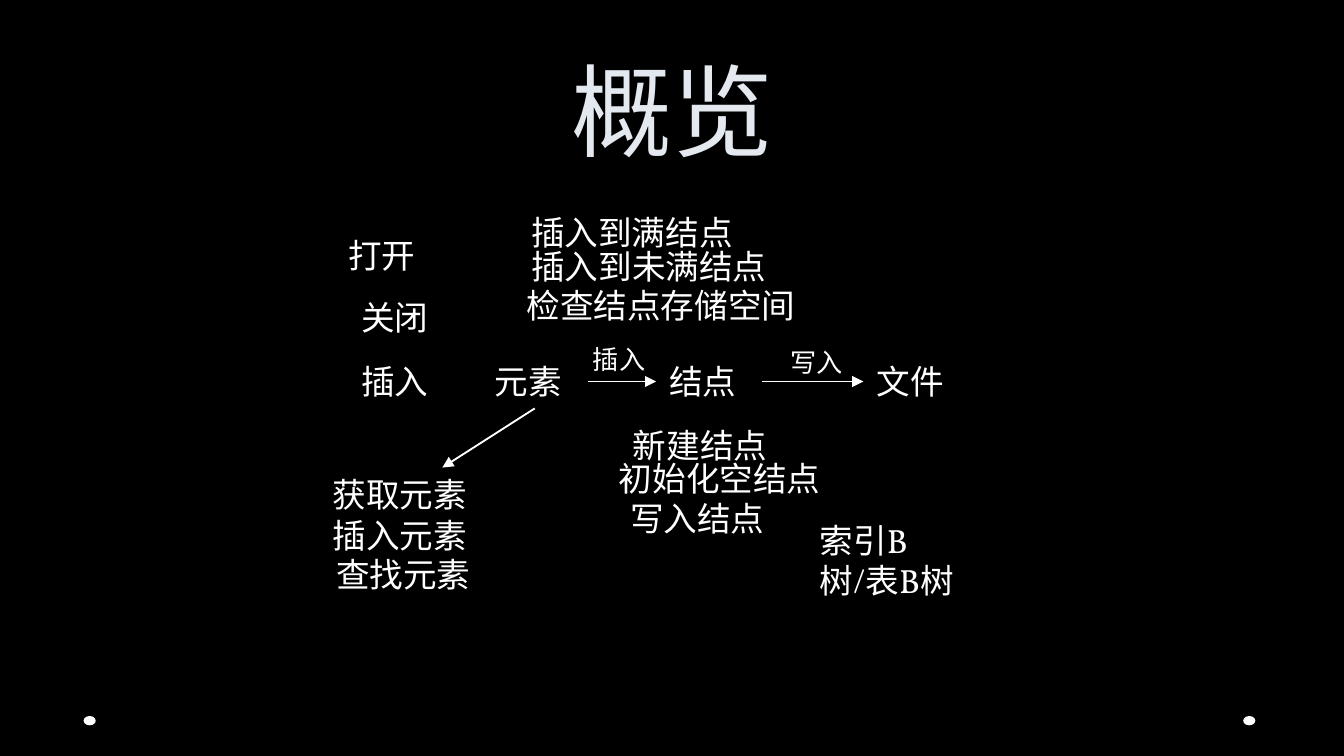
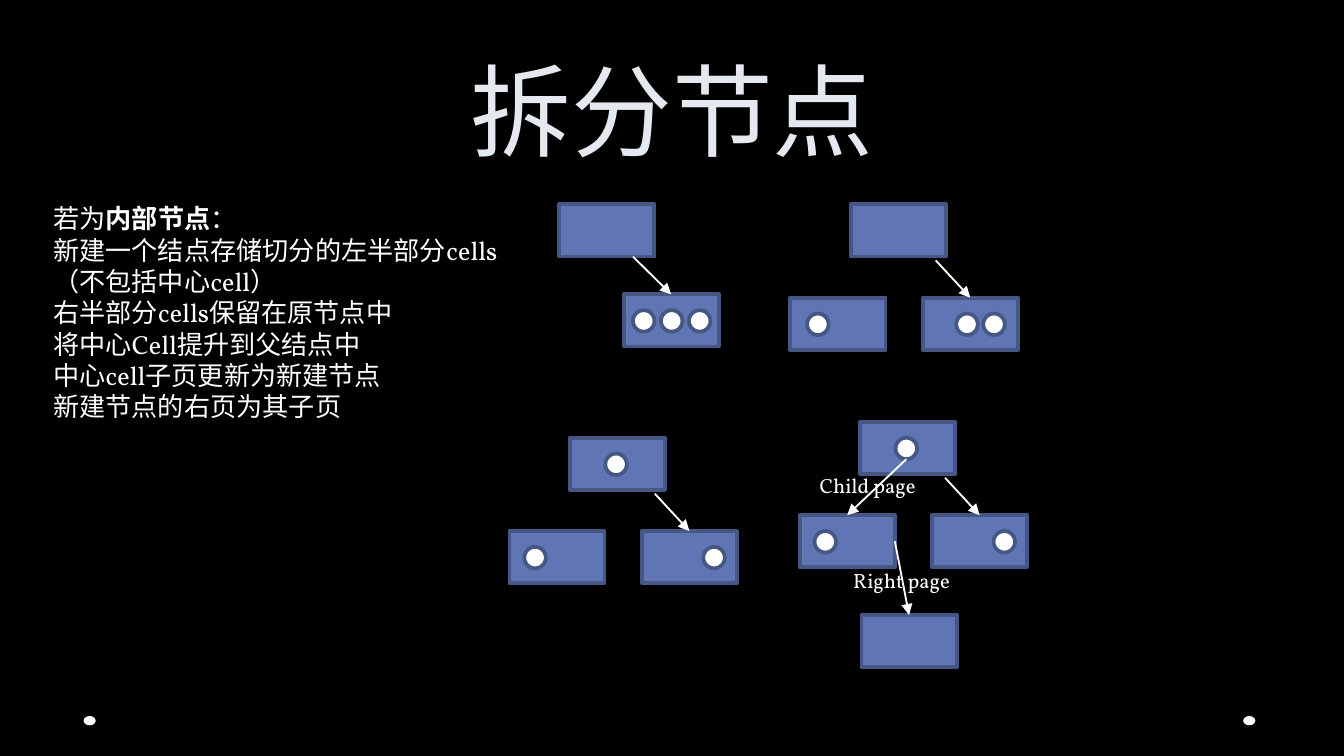
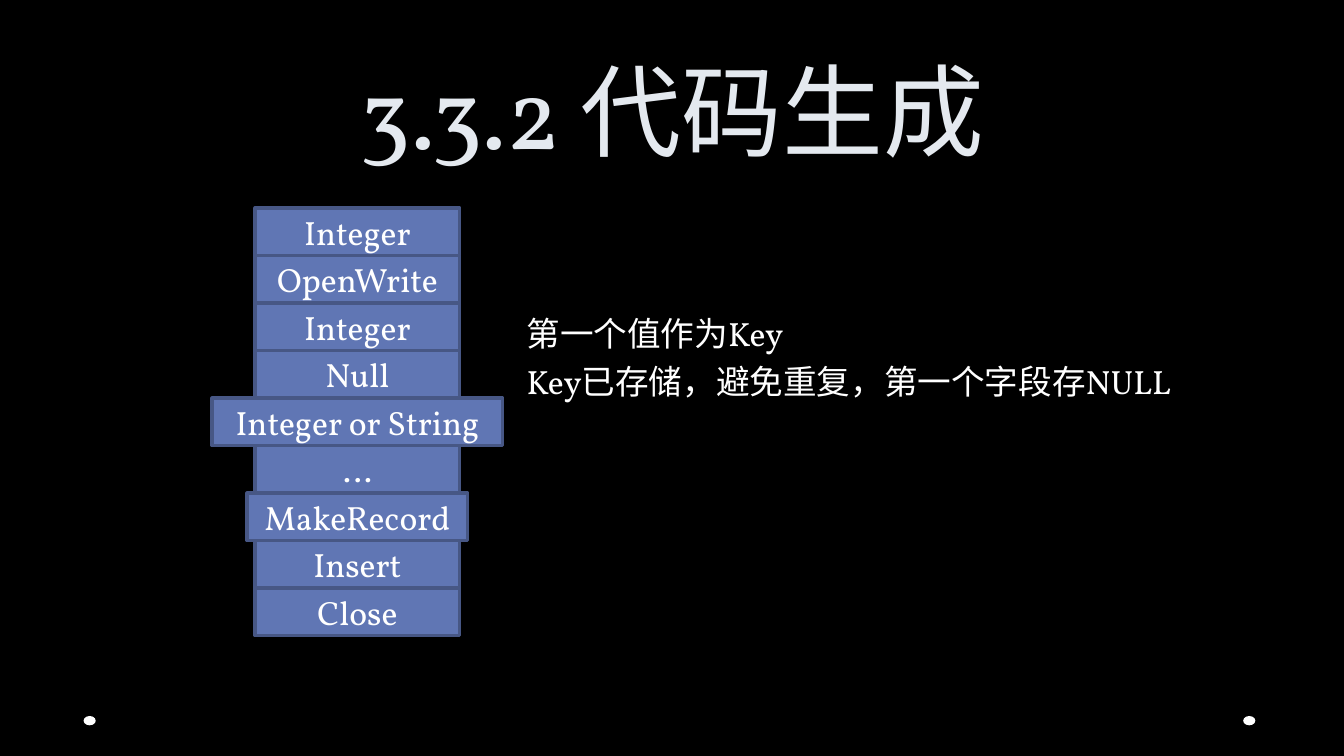
import pptx
import pptx.util
import pptx.dml.color
import pptx.enum.shapes
import pptx.enum.text
import pptx.oxml

Pt = pptx.util.Pt
Color = pptx.dml.color.RGBColor
Shape = pptx.enum.shapes.MSO_SHAPE
Align = pptx.enum.text.PP_ALIGN
Anchor = pptx.enum.text.MSO_ANCHOR
Fit = pptx.enum.text.MSO_AUTO_SIZE

BLACK = Color(0x00, 0x00, 0x00)
WHITE = Color(0xFF, 0xFF, 0xFF)
PALE = Color(0xE4, 0xE9, 0xEF)
BLUE = Color(0x60, 0x76, 0xB4)
NAVY = Color(0x47, 0x57, 0x85)
FONT = "Vollkorn"
NS = 'xmlns:a="http://schemas.openxmlformats.org/drawingml/2006/main"'

NODE_W, NODE_H = 51, 28
CELL = 11.5
LEFT, MID, RIGHT = 8, 19, 33  # cell slots inside a node
ROW = 25.45


def style(para, size, color=WHITE):
    para.font.name = FONT
    para.font.size = Pt(size)
    para.font.color.rgb = color


def block(slide, kind, x, y, w, h, fill=BLUE, edge=NAVY):
    shape = slide.shapes.add_shape(kind, Pt(x), Pt(y), Pt(w), Pt(h))
    shape.shadow.inherit = False
    shape.fill.solid()
    shape.fill.fore_color.rgb = fill
    if edge is None:
        shape.line.fill.background()
    else:
        shape.line.color.rgb = edge
        shape.line.width = Pt(2)
    return shape


def label(slide, text, x, y, w, size=18):
    """Add a text box; each line of text becomes a paragraph."""
    box = slide.shapes.add_textbox(Pt(x), Pt(y), Pt(w), Pt(size * 1.2 + 7.2))
    frame = box.text_frame
    frame.word_wrap = True
    frame.auto_size = Fit.SHAPE_TO_FIT_TEXT
    frame.text = text
    for para in frame.paragraphs:
        style(para, size)
    return box


def arrow(slide, start, end):
    """Draw an arrow; each end is a point (x, y) or a joint (shape, side)."""
    line = slide.shapes.add_connector(
        pptx.enum.shapes.MSO_CONNECTOR.STRAIGHT, 0, 0, 0, 0)
    if isinstance(start[0], (int, float)):
        line.begin_x, line.begin_y = Pt(start[0]), Pt(start[1])
    else:
        line.begin_connect(*start)
    if isinstance(end[0], (int, float)):
        line.end_x, line.end_y = Pt(end[0]), Pt(end[1])
    else:
        line.end_connect(*end)
    line.line.color.rgb = WHITE
    line.line.width = Pt(1)
    props = line.element.spPr
    props.ln.append(pptx.oxml.parse_xml(f'<a:tailEnd {NS} type="triangle"/>'))
    props.append(pptx.oxml.parse_xml(f"<a:effectLst {NS}/>"))


def add_dots(deck, slide):
    """Draw the two footer dots and move them to the slide master."""
    for i, x in enumerate((44.8, 666)):
        dot = block(slide, Shape.OVAL, x, 383.6, 6.5, 5, WHITE, None)
        dot.element.nvSpPr.cNvPr.set("id", str(20 + i))
        deck.slide_master.shapes.element.append(dot.element)


def new_slide(deck, text):
    slide = deck.slides.add_slide(deck.slide_layouts[5])
    title = slide.shapes.title
    title.left, title.top, title.width, title.height = Pt(36), Pt(0), Pt(648), Pt(94.5)
    frame = title.text_frame
    frame.text = text
    frame.auto_size = Fit.NONE
    frame.vertical_anchor = Anchor.BOTTOM
    para = frame.paragraphs[0]
    para.alignment = Align.CENTER
    para.line_spacing = Pt(58)
    style(para, 54, PALE)
    return slide


def flow(slide, x, y):
    """Chain from element to node to file, with its arrows."""
    label(slide, "插入", x, y, 57)
    item = label(slide, "元素", x + 71.5, y, 57)
    node = label(slide, "结点", x + 165, y, 57)
    file = label(slide, "文件", x + 276, y, 102)
    label(slide, "插入", x + 124, y - 9.5, 57, 14)
    label(slide, "写入", x + 230, y - 8, 57.5, 14)
    arrow(slide, (item, 3), (node, 1))
    arrow(slide, (node, 3), (file, 1))
    arrow(slide, (item, 2), (x + 50.5, y + 60.5))


def overview(deck):
    slide = new_slide(deck, "概览")
    for text, x, y, w in (
        ("打开", 179.5, 122.5, 139),
        ("关闭", 186.5, 155.5, 139),
        ("插入到满结点", 277.5, 110, 139),
        ("插入到未满结点", 277.5, 128, 168),
        ("检查结点存储空间", 275, 149, 173),
        ("新建结点", 332, 224, 139),
        ("初始化空结点", 324.5, 242, 139),
        ("写入结点", 330.5, 263, 139),
        ("获取元素", 171, 250.5, 173),
        ("插入元素", 171, 272.5, 139),
        ("查找元素", 173, 293, 173),
        ("索引B树/表B树", 432, 275, 102),
    ):
        label(slide, text, x, y, w)
    flow(slide, 186.5, 190)
    return slide


def node(slide, x, y, slots=()):
    box = block(slide, Shape.RECTANGLE, x, y, NODE_W, NODE_H)
    for slot in slots:
        block(slide, Shape.OVAL, x + slot, y + 8.5, CELL, CELL, WHITE)
    return box


def tree(slide, x, y, root, left, right, shift=38.5, drop=50, tip=(45.5, 30)):
    """Draw a parent at x, y with its children; return the left child."""
    node(slide, x, y, root)
    child = None
    if left is not None:
        child = node(slide, x - 32.4, y + drop, left)
    other = node(slide, x + shift, y + drop, right)
    arrow(slide, (x + tip[0], y + tip[1]), (other, 0))
    return child


def linked_tree(slide, x, y):
    """Tree whose cell and new node point on to further pages."""
    left = tree(slide, x, y, [MID], [LEFT], [RIGHT])
    page = node(slide, x + 0.7, y + 103.5)
    label(slide, "Child page", x - 28.8, y + 23.8, 85, 11)
    label(slide, "Right page", x - 10.8, y + 75, 85, 11)
    arrow(slide, (x + MID + CELL / 2, y + 20), (left, 0))
    arrow(slide, (left, 3), (page, 0))


def steps(slide, x, y):
    box = label(slide, "\n".join((
        "若为",
        "新建一个结点存储切分的左半部分cells",
        "（不包括中心cell）",
        "右半部分cells保留在原节点中",
        "将中心Cell提升到父结点中",
        "中心cell子页更新为新建节点",
        "新建节点的右页为其子页",
    )), x, y, 268, 14)
    box.height = Pt(126)
    first = box.text_frame.paragraphs[0]
    for text, bold in (("内部节点", True), ("：", False)):
        run = first.add_run()
        run.text = text
        run.font.bold = bold


def split(deck):
    slide = new_slide(deck, "拆分节点")
    steps(slide, 21.5, 105)
    tree(slide, 299.5, 109.5, [], None, [5, 20, 35], 34.6, 48.2, (39.6, 28))
    tree(slide, 455.8, 109.5, [], [LEFT + 1], [18, 32.5])
    tree(slide, 305.3, 234.5, [MID], [LEFT], [RIGHT])
    linked_tree(slide, 460.8, 226)


def stack(slide, mid, y):
    """Pile of opcode boxes centred on mid."""
    wide = {"Integer or String": 155.5, "MakeRecord": 118}
    codes = ("Integer", "OpenWrite", "Integer", "Null", "Integer or String",
             "…", "MakeRecord", "Insert", "Close")
    for i, code in enumerate(codes):
        w = wide.get(code, 109.5)
        box = block(slide, Shape.RECTANGLE, mid - w / 2, y + i * ROW, w, ROW)
        frame = box.text_frame
        frame.text = code
        frame.vertical_anchor = Anchor.MIDDLE
        para = frame.paragraphs[0]
        para.alignment = Align.CENTER
        style(para, 18)


def codegen(deck):
    slide = new_slide(deck, "3.3.2 代码生成")
    stack(slide, 191.5, 111.5)
    label(slide, "第一个值作为Key", 275, 164, 209.5)
    label(slide, "Key已存储，避免重复，第一个字段存NULL", 275, 190, 408)


def main():
    deck = pptx.Presentation()
    deck.slide_width, deck.slide_height = Pt(720), Pt(405)
    back = deck.slide_master.background.fill
    back.solid()
    back.fore_color.rgb = BLACK
    add_dots(deck, overview(deck))
    split(deck)
    codegen(deck)
    deck.save("out.pptx")


if __name__ == "__main__":
    main()
